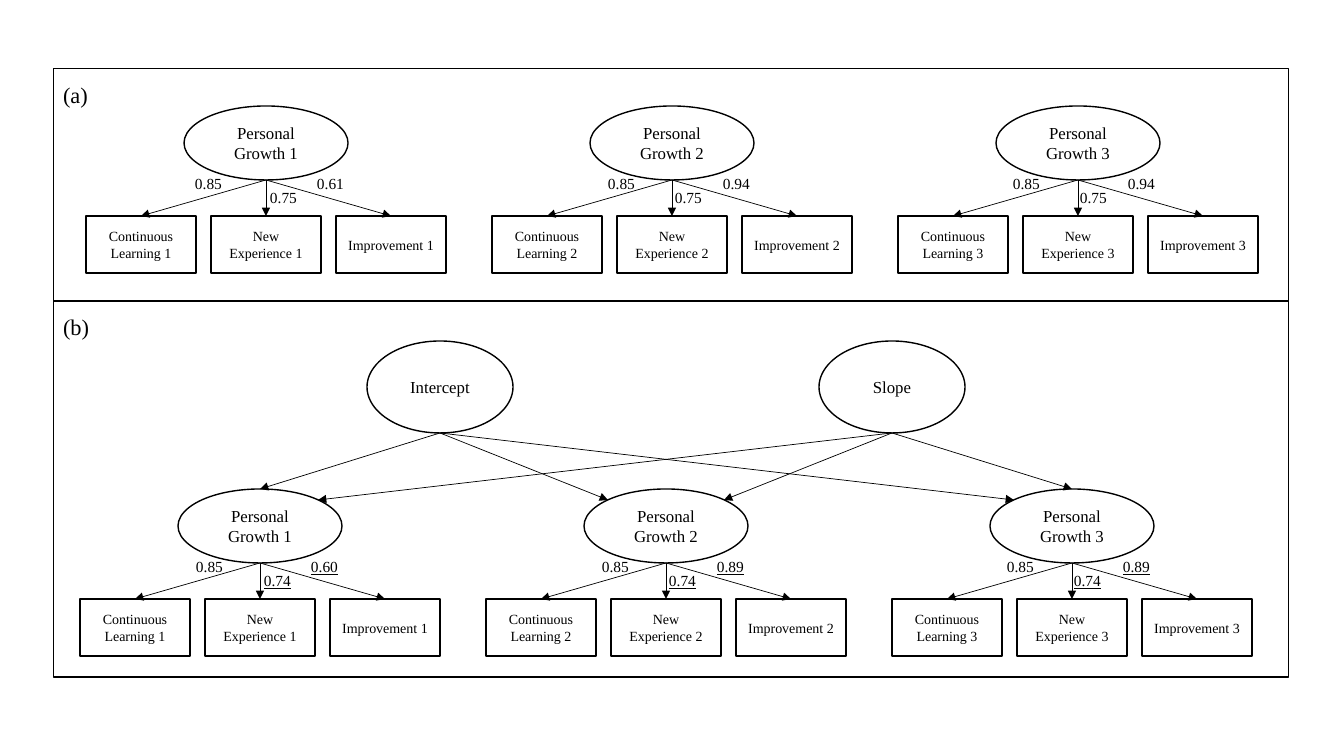
"""Two-panel path diagram: measurement models (a) and growth model (b)."""
from lxml import etree
from pptx import Presentation, util as u
from pptx.dml.color import RGBColor
from pptx.enum import shapes, text
from pptx.oxml.ns import qn

SCALE = 12192000 / 1344
FONT = "Times New Roman"
BLACK, WHITE = "000000", "FFFFFF"
OVAL, RECT = shapes.MSO_SHAPE.OVAL, shapes.MSO_SHAPE.RECTANGLE

GROWTH_W, GROWTH_H = 164, 74
BOX_W, BOX_H = 110, 57
BOX_STEP = 125
WAVE_STEP = 406
INDICATORS = ("Continuous Learning", "New Experience", "Improvement")

# Per wave: the three loadings, then the label offsets from the wave's centre
LOADINGS_A = [
    (("0.85", "0.75", "0.61"), (-81, -6, 41)),
    (("0.85", "0.75", "0.94"), (-74, -7, 41)),
    (("0.85", "0.75", "0.94"), (-75, -8, 40)),
]
LOADINGS_B = [
    (("0.85", "0.74", "0.60"), (-74, -6, 41)),
    (("0.85", "0.74", "0.89"), (-74, -7, 41)),
    (("0.85", "0.74", "0.89"), (-75, -8, 41)),
]


def px(n):
    """Turn pixels into EMU."""
    return u.Emu(round(n * SCALE))


def rgb(value):
    """Turn a hex string into a colour."""
    return RGBColor.from_string(value)


def add_run(p, words, size, underline=False):
    """Add one formatted run to a paragraph."""
    r = p.add_run()
    r.text = words
    r.font.name, r.font.size = FONT, u.Pt(size)
    r.font.color.rgb = rgb(BLACK)
    if underline:
        r.font.underline = True


def add_node(s, kind, left, top, width, height, words, size):
    """Add a white outlined shape with centred text."""
    sp = s.shapes.add_shape(kind, px(left), px(top), px(width), px(height))
    sp.shadow.inherit = False
    sp.fill.solid()
    sp.fill.fore_color.rgb = rgb(WHITE)
    sp.line.color.rgb, sp.line.width = rgb(BLACK), u.Pt(1)
    tf = sp.text_frame
    tf.word_wrap = True
    tf.vertical_anchor = text.MSO_ANCHOR.MIDDLE
    p = tf.paragraphs[0]
    p.alignment = text.PP_ALIGN.CENTER
    add_run(p, words, size)


def add_frame(s, top, height):
    """Add an unfilled panel border."""
    sp = s.shapes.add_shape(RECT, px(53), px(top), px(1236), px(height))
    sp.shadow.inherit = False
    sp.fill.background()
    sp.line.color.rgb, sp.line.width = rgb(BLACK), u.Pt(0.75)


def add_arrow(s, start, end):
    """Add a thin line with a triangle head at its end."""
    c = s.shapes.add_connector(shapes.MSO_CONNECTOR.STRAIGHT,
                               *(px(n) for n in (*start, *end)))
    c.line.color.rgb, c.line.width = rgb(BLACK), u.Pt(0.5)
    etree.SubElement(c.line._get_or_add_ln(), qn("a:tailEnd"), type="triangle")
    etree.SubElement(c._element.spPr, qn("a:effectLst"))


def add_label(s, left, top, width, height, words, size, underline=False,
              inset=True):
    """Add a one-line text box."""
    tb = s.shapes.add_textbox(px(left), px(top), px(width), px(height))
    tf = tb.text_frame
    tf.word_wrap = False
    tf.auto_size = text.MSO_AUTO_SIZE.SHAPE_TO_FIT_TEXT
    if not inset:
        tf.margin_left = tf.margin_right = tf.margin_top = tf.margin_bottom = 0
    add_run(tf.paragraphs[0], words, size, underline)


def add_wave(s, cx, top, wave):
    """Add one growth factor with its three indicators and arrows."""
    add_node(s, OVAL, cx - GROWTH_W / 2, top, GROWTH_W, GROWTH_H,
             f"Personal Growth {wave}", 12)
    bottom, box_top = top + GROWTH_H, top + 110
    centres = [cx + BOX_STEP * k for k in (-1, 0, 1)]
    for x, name in zip(centres, INDICATORS):
        add_node(s, RECT, x - BOX_W / 2, box_top, BOX_W, BOX_H,
                 f"{name} {wave}", 10)
    for x in centres:
        add_arrow(s, (cx, bottom), (x, box_top))


def add_measurement(s, first, top, waves, underlined):
    """Add a row of waves with their loadings; return the wave centres."""
    centres = [first + WAVE_STEP * i for i in range(len(waves))]
    for wave, cx in enumerate(centres, 1):
        add_wave(s, cx, top, wave)
    for cx, (loadings, offsets) in zip(centres, waves):
        for k, (value, dx) in enumerate(zip(loadings, offsets)):
            y = top + (77 if k == 1 else 63)
            add_label(s, cx + dx, y, 49, 29, value, 11, underlined and k > 0)
    return centres


def add_growth_factors(s, centres, top):
    """Add intercept and slope with arrows to every wave."""
    width, height, factor_top = 146, 92, 341
    factors = (("Intercept", 440), ("Slope", 892))
    for name, x in factors:
        add_node(s, OVAL, x - width / 2, factor_top, width, height, name, 12)
    dx, dy = 58, 11  # diagonal points on the growth ellipses
    first, middle, last = centres
    targets = (
        ((first, top), (middle - dx, top + dy), (last - dx, top + dy)),
        ((first + dx, top + dy), (middle + dx, top + dy), (last, top)),
    )
    for (_, x), ends in zip(factors, targets):
        for end in ends:
            add_arrow(s, (x, factor_top + height), end)


def main():
    """Build and save the slide."""
    prs = Presentation()
    prs.slide_width, prs.slide_height = px(1344), px(756)
    s = prs.slides.add_slide(prs.slide_layouts[6])
    add_measurement(s, 266, 106, LOADINGS_A, False)
    centres = add_measurement(s, 260, 489, LOADINGS_B, True)
    add_growth_factors(s, centres, 489)
    for name, top, height in (("(a)", 69, 232), ("(b)", 301, 376)):
        add_frame(s, top, height)
        add_label(s, 63, top + 12, 31, 27, name, 16, inset=False)
    prs.save("out.pptx")


main()
